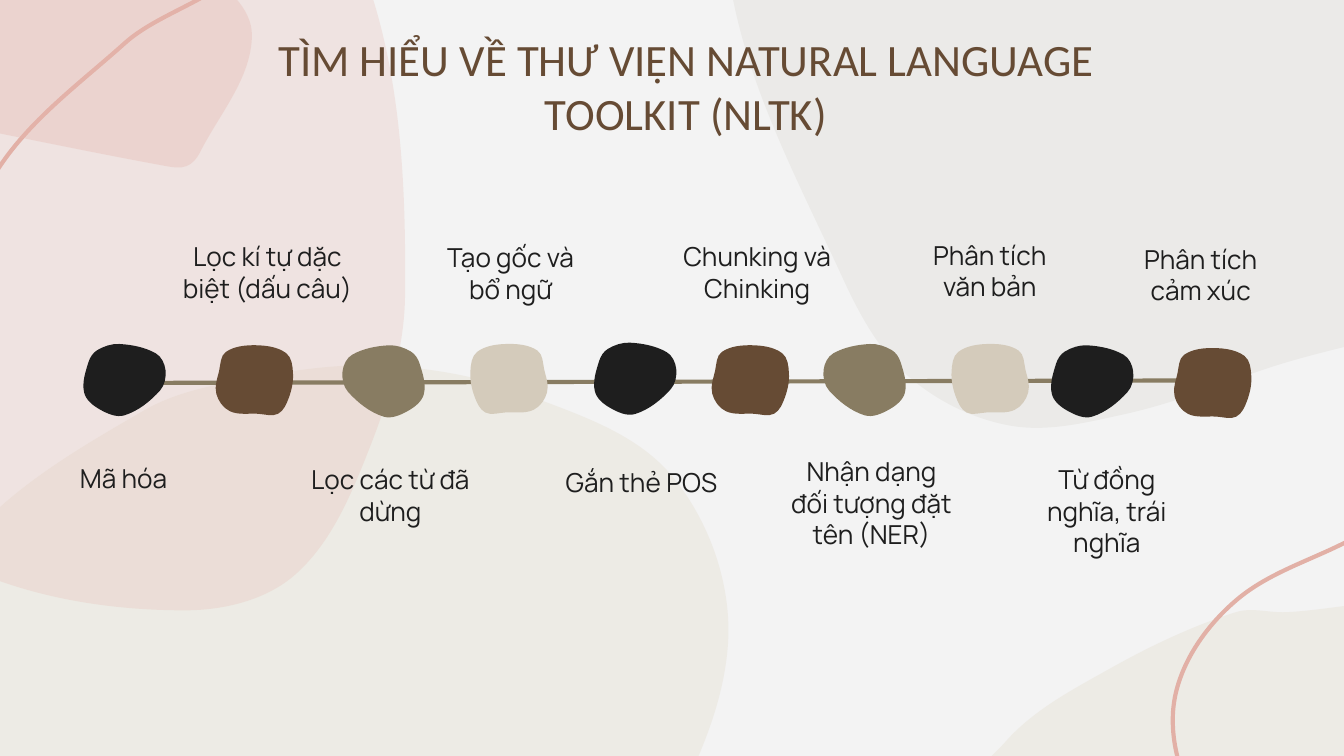
from collections import namedtuple
from itertools import cycle
from math import dist

from lxml import etree
from pptx import Presentation
from pptx.dml.color import RGBColor
from pptx.enum.shapes import MSO_CONNECTOR
from pptx.enum.text import MSO_ANCHOR, PP_ALIGN
from pptx.oxml.ns import qn
from pptx.util import Pt

CENTER = PP_ALIGN.CENTER
TOP, MIDDLE = MSO_ANCHOR.TOP, MSO_ANCHOR.MIDDLE
STRAIGHT = MSO_CONNECTOR.STRAIGHT

PAPER, INK, BROWN, OLIVE = "F3F3F3", "1E1E1E", "664B34", "887C62"
BEIGE, CREAM, PINK, ROSE = "D4CBBB", "E7E2D6", "E6B8AF", "E2B0A6"
STROKE = 2.25
INSET = 7.2

# Knots that smooth outlines pass through; most scenery bleeds off the slide.
HILL = [(-22, 295), (77, 220), (138, 202), (207, 196), (278, 210), (360, 255),
        (390, 345), (346, 463), (235, 654), (89, 778), (-35, 797), (7, 682), (-48, 380)]
BLUSH = [(150, -60), (200, 0), (217, 158), (198, 240), (158, 308), (99, 327),
         (-9, 308), (-289, 172), (-151, -94)]
CORNER = [(58, -30), (108, -16), (135, 19), (107, 82), (100, 89), (89, 89),
          (-59, 60), (-174, 40), (-246, -13), (-209, -73)]
SHADE = [(392, -4), (451, 148), (486, 201), (541, 228), (602, 222), (674, 199),
         (837, 140), (903, 12), (778, -235), (580, -234), (398, -138)]
DUNE = [(480, 487), (539, 397), (595, 358), (662, 328), (689, 328), (765, 323),
        (1045, 374), (1006, 567), (876, 658), (644, 532), (585, 495)]
LEFT_ARC = [(-233, 346), (-60, 283), (-27, 163), (0, 89), (67, 23), (137, -34), (91, -184)]
RIGHT_ARC = [(1092, 9), (911, 42), (859, 155), (742, 277), (663, 321),
             (630, 371), (638, 425), (683, 477)]

# Pebble outlines, measured from their own top left corner.
ROUND = [(20, 0), (8.2, 3.3), (3.5, 9.8), (1.2, 26), (9.5, 35), (22.8, 38.2),
         (41.8, 25), (44.8, 14), (39.6, 5)]
SQUARE = [(22, 0), (5.8, 3.6), (2.2, 13.7), (0.7, 26), (7.9, 35.3), (23, 36.7),
          (33.8, 36.7), (39.6, 28), (41.8, 15), (38.2, 4.3)]

Look = namedtuple("Look", "knots flip color")
LOOKS = [Look(ROUND, False, INK), Look(SQUARE, False, BROWN),
         Look(ROUND, True, OLIVE), Look(SQUARE, True, BEIGE)]

# box is the label's left, top, width and height; x and y place the pebble.
Step = namedtuple("Step", "text box x y")
STEPS = [
    Step("Mã hóa", (0, 240.5, 132.5, 36), 43.9, 184.3),
    Step("Lọc kí tự dặc biệt (dấu câu)", (90, 121.7, 106.6, 51.8), 115.2, 185),
    Step("Lọc các từ đã dừng", (157.7, 241.2, 103, 76.3), 183.5, 185),
    Step("Tạo gốc và bổ ngữ", (230.4, 122.4, 86.4, 52.6), 252, 184.3),
    Step("Gắn thẻ POS", (282.2, 242.6, 123.1, 42.5), 317.5, 183.6),
    Step("Chunking và Chinking", (357.8, 121.7, 95.8, 49), 380.9, 185),
    Step("Nhận dạng đối tượng đặt tên (NER)", (415.4, 236.9, 103, 76.3), 441.2, 184.3),
    Step("Phân tích văn bản", (482.4, 121, 95.8, 49), 509.8, 184.3),
    Step("Từ đồng nghĩa, trái nghĩa", (538.6, 241.2, 108.7, 76.3), 562.3, 185),
    Step("Phân tích cảm xúc", (595.4, 123.1, 95.8, 49), 628.6, 186.5),
]


def rgb(code):
    return RGBColor.from_string(code)


def handle(knot, back, ahead, reach):
    """Step from a knot along the direction in which its neighbours lie."""
    scale = reach / dist(back, ahead)
    return tuple(k + (a - b) * scale for k, b, a in zip(knot, back, ahead))


def smooth(knots, closed):
    """Return the start, then two Bézier handles and an end for each segment."""
    if closed:
        ring = [knots[-1], *knots, *knots[:2]]
    else:
        ring = [knots[0], *knots, knots[-1]]
    points = [knots[0]]
    for before, start, end, after in zip(ring, ring[1:], ring[2:], ring[3:]):
        reach = dist(start, end) / 3
        points += [handle(start, before, end, reach),
                   handle(end, start, after, -reach), end]
    return points


def curve(slide, knots, closed):
    """Draw a freeform and turn each three line segments into one Bézier."""
    start, *rest = [(Pt(x), Pt(y)) for x, y in smooth(knots, closed)]
    pen = slide.shapes.build_freeform(*start)
    pen.add_line_segments(rest, close=closed)
    shape = pen.convert_to_shape()
    shape.shadow.inherit = False
    lines = list(shape._element.iter(qn("a:lnTo")))
    for first, *others in zip(lines[::3], lines[1::3], lines[2::3]):
        first.tag = qn("a:cubicBezTo")
        for line in others:
            first.append(line[0])
            line.getparent().remove(line)
    return shape


def blob(slide, knots, color, alpha=100):
    shape = curve(slide, knots, True)
    shape.fill.solid()
    shape.fill.fore_color.rgb = rgb(color)
    shape.line.fill.background()
    if alpha < 100:
        tint = next(shape._element.spPr.iter(qn("a:srgbClr")))
        etree.SubElement(tint, qn("a:alpha")).set("val", str(alpha * 1000))


def stroke(item, color):
    item.line.color.rgb = rgb(color)
    item.line.width = Pt(STROKE)


def arc(slide, knots):
    shape = curve(slide, knots, False)
    shape.fill.background()
    stroke(shape, ROSE)


def axis(slide, *ends):
    line = slide.shapes.add_connector(STRAIGHT, *map(Pt, ends))
    stroke(line, OLIVE)
    etree.SubElement(line._element.spPr, qn("a:effectLst"))


def pebble(slide, left, top, look):
    wide = max(x for x, _ in look.knots)
    knots = [(left + (wide - x if look.flip else x), top + y) for x, y in look.knots]
    blob(slide, knots, look.color)


def label(slide, text, box, size=14, font="Manrope", color=INK, anchor=TOP):
    frame = slide.shapes.add_textbox(*map(Pt, box)).text_frame
    frame.word_wrap = True
    frame.vertical_anchor = anchor
    frame.margin_left = frame.margin_right = Pt(INSET)
    frame.margin_top = frame.margin_bottom = Pt(INSET)
    para = frame.paragraphs[0]
    para.text = text
    para.alignment = CENTER
    para.font.size = Pt(size)
    para.font.name = font
    para.font.color.rgb = rgb(color)


def scene(slide):
    """Paint the backdrop from back to front."""
    slide.background.fill.solid()
    slide.background.fill.fore_color.rgb = rgb(PAPER)
    blob(slide, HILL, CREAM, 46)
    blob(slide, BLUSH, PINK, 26)
    arc(slide, LEFT_ARC)
    blob(slide, CORNER, PINK, 35)
    blob(slide, SHADE, OLIVE, 7)
    blob(slide, DUNE, CREAM, 46)
    arc(slide, RIGHT_ARC)


def main():
    deck = Presentation()
    deck.slide_width, deck.slide_height = Pt(720), Pt(405)
    slide = deck.slides.add_slide(deck.slide_layouts[6])
    scene(slide)
    label(slide, "TÌM HIỂU VỀ THƯ VIỆN NATURAL LANGUAGE TOOLKIT (NLTK)",
          (127.4, 15.1, 480.2, 61.2), 24, "Calibri", BROWN, MIDDLE)
    axis(slide, 49.7, 205.2, 660.2, 203.8)
    for step, look in zip(STEPS, cycle(LOOKS)):
        pebble(slide, step.x, step.y, look)
        label(slide, step.text, step.box)
    deck.save("out.pptx")


if __name__ == "__main__":
    main()
